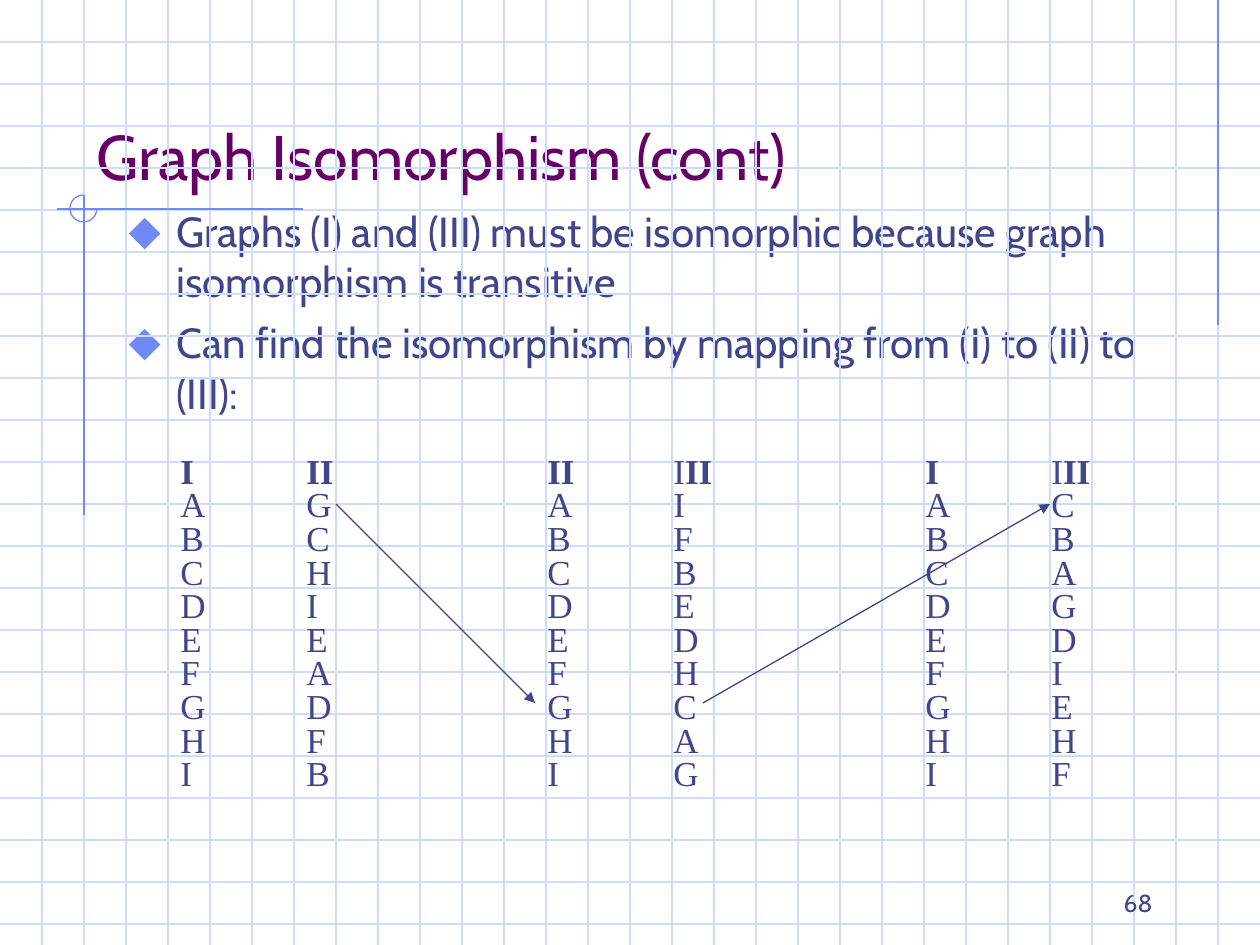
from lxml.etree import SubElement as Sub
from pptx import Presentation
from pptx.dml.color import RGBColor
from pptx.enum.shapes import MSO_CONNECTOR as Link, MSO_SHAPE as Shape
from pptx.enum.text import MSO_ANCHOR as Anchor, MSO_AUTO_SIZE as Fit, PP_ALIGN as Align
from pptx.oxml.ns import qn
from pptx.util import Pt

SCALE = 914400 / 126
WIDE, HIGH, STEP = 1260, 945, 42
PALE = RGBColor(0xCF, 0xDB, 0xFD)
BLUE = RGBColor(0x6F, 0x89, 0xF7)
NAVY = RGBColor(0x40, 0x45, 0x8C)
PLUM = RGBColor(0x66, 0x00, 0x66)
SANS, SERIF = "Cabin", "Times New Roman"

NODES = "ABCDEFGHI"
FIRST = dict(zip(NODES, "GCHIEADFB"))
SECOND = dict(zip(NODES, "IFBEDHCAG"))
BOTH = {node: SECOND[FIRST[node]] for node in NODES}


def px(*nums):
    return [round(num * SCALE) for num in nums]


class Deck:
    """Holds the style and the current slide, and draws each kind of element."""

    def __init__(self):
        self.prs = Presentation()
        self.prs.slide_width, self.prs.slide_height = px(WIDE, HIGH)
        self.slide = self.prs.slides.add_slide(self.prs.slide_layouts[1])
        self.shapes = self.slide.shapes

    def line(self, ends, color, arrow=False):
        link = self.shapes.add_connector(Link.STRAIGHT, *px(*ends))
        link.line.color.rgb = color
        link.line.width = Pt(0.75)
        prop = link._element.spPr
        if arrow:
            Sub(prop.get_or_add_ln(), qn("a:tailEnd"), type="triangle")
        Sub(prop, qn("a:effectLst"))

    def grid(self):
        for y in range(STEP, HIGH, STEP):
            self.line((0, y, WIDE, y), PALE)
        for x in range(STEP, WIDE, STEP):
            self.line((x, 0, x, HIGH), PALE)

    def arc(self, box, color):
        arc = self.shapes.add_shape(Shape.ARC, *px(*box))
        arc.adjustments[0], arc.adjustments[1] = 0, 162
        arc.shadow.inherit = False
        arc.fill.background()
        arc.line.color.rgb = color
        arc.line.width = Pt(0.75)

    def frame(self, shape, box, anchor=Anchor.TOP):
        shape.left, shape.top, shape.width, shape.height = px(*box)
        frame = shape.text_frame
        frame.word_wrap = True
        frame.auto_size = Fit.NONE
        frame.vertical_anchor = anchor
        return frame

    def font(self, para, size, name, color, bold=False):
        font = para.font
        font.size, font.name, font.bold = Pt(size), name, bold
        font.color.rgb = color

    def title(self, text, box):
        frame = self.frame(self.shapes.title, box, Anchor.BOTTOM)
        frame.text = text
        para = frame.paragraphs[0]
        para.alignment = Align.LEFT
        self.font(para, 36, SANS, PLUM)

    def body(self, items, box):
        frame = self.frame(self.slide.placeholders[1], box)
        frame.text = "\n".join(items)
        for num, para in enumerate(frame.paragraphs):
            para.space_before = Pt(6 if num else 0)
            prop = para._p.get_or_add_pPr()
            dent = px(48)[0]
            prop.set("marL", str(dent))
            prop.set("indent", str(-dent))
            Sub(Sub(prop, qn("a:buClr")), qn("a:srgbClr"), val=str(BLUE))
            Sub(prop, qn("a:buSzPct"), val="110000")
            Sub(prop, qn("a:buChar"), char="⬥")
            self.font(para, 24, SANS, NAVY)

    def text(self, text, box):
        frame = self.frame(self.shapes.add_textbox(*px(*box)), box, Anchor.BOTTOM)
        frame.text = text
        para = frame.paragraphs[0]
        para.alignment = Align.RIGHT
        self.font(para, 14, SANS, NAVY)

    def table(self, left, right, pairs, box):
        frame = self.frame(self.shapes.add_textbox(*px(*box)), box)
        rows = [(left, right), *pairs.items()]
        for num, (key, val) in enumerate(rows):
            para = frame.add_paragraph() if num else frame.paragraphs[0]
            para.line_spacing = 0.8
            tabs = Sub(para._p.get_or_add_pPr(), qn("a:tabLst"))
            Sub(tabs, qn("a:tab"), pos=str(px(126)[0]), algn="l")
            self.font(para, 20, SERIF, NAVY, num == 0)
            parts = [f"{key}\t", "I", "II"] if val == "III" else [f"{key}\t{val}"]
            runs = [para.add_run() for part in parts]
            for run, part in zip(runs, parts):
                run.text = part
            if len(runs) > 1:
                runs[1].font.bold = False

    def save(self):
        self.prs.save("out.pptx")


def main():
    deck = Deck()
    deck.grid()
    for ends in ((1218, 0, 1218, 325), (303, 209, 57, 209), (84, 195, 84, 515)):
        deck.line(ends, BLUE)
    deck.arc((70, 195, 27, 27), BLUE)
    deck.title("Graph Isomorphism (cont)", (84, 42, 1071, 157))
    deck.body(
        [
            "Graphs (I) and (III) must be isomorphic because graph isomorphism is transitive",
            "Can find the isomorphism by mapping from (I) to (II) to (III):",
        ],
        (116, 199, 1071, 630),
    )
    maps = (
        (168, "I", "II", FIRST),
        (535, "II", "III", SECOND),
        (913, "I", "III", BOTH),
    )
    for x, left, right, pairs in maps:
        deck.table(left, right, pairs, (x, 451, 200, 349))
    deck.line((336, 504, 535, 703), NAVY, arrow=True)
    deck.line((703, 703, 1050, 504), NAVY, arrow=True)
    deck.text("68", (903, 861, 262, 63))
    deck.save()


if __name__ == "__main__":
    main()
